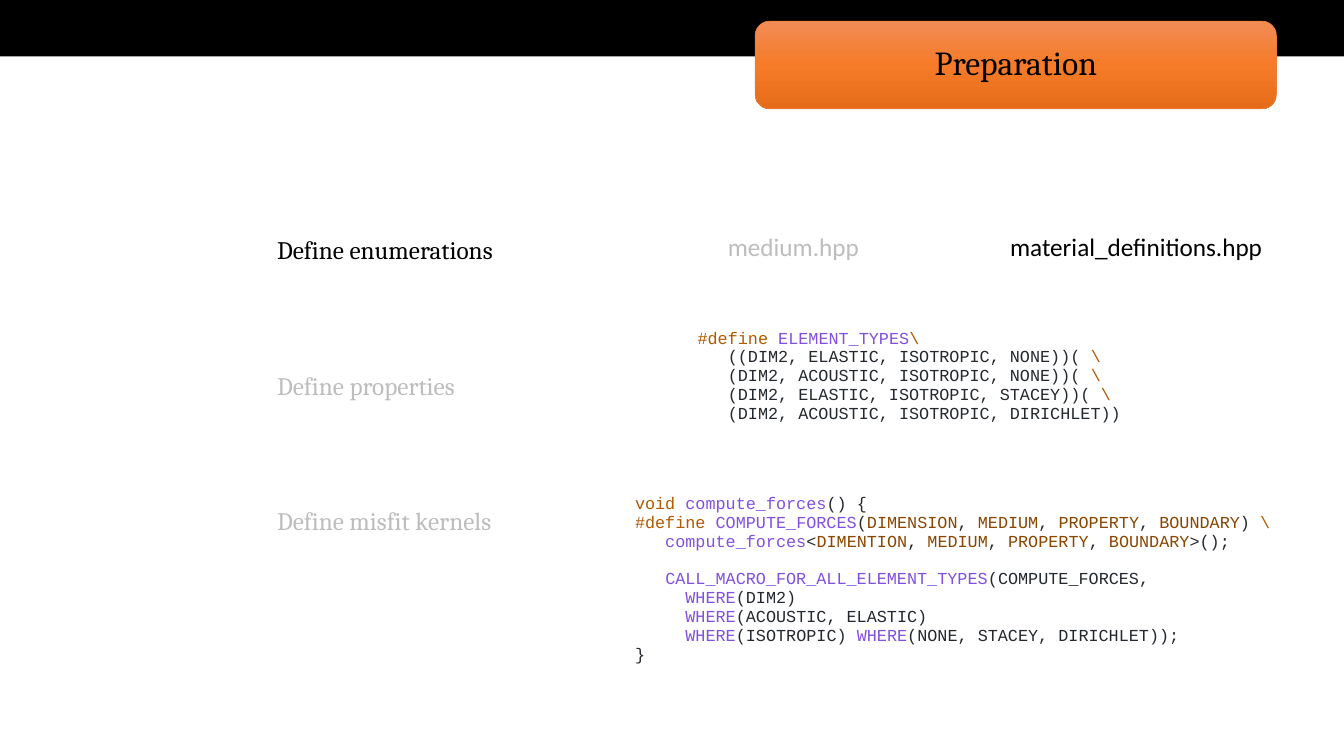
from copy import deepcopy
from dataclasses import dataclass
from typing import NamedTuple

from lxml import etree
from pptx import Presentation
from pptx import util as u
from pptx.dml.color import RGBColor
from pptx.enum import shapes, text
from pptx.oxml.ns import qn


@dataclass(frozen=True)
class Theme:
    black: str = "000000"
    white: str = "FFFFFF"
    keyword: str = "B35900"
    name: str = "8250DF"
    parameter: str = "8A4600"
    plain: str = "24292F"
    button_line: str = "ED7D31"
    button_fill: tuple[str, ...] = ("F18C57", "F67B28", "E56C19")
    serif: str = "Cambria"
    sans: str = "Calibri"
    mono: str = "Courier New"
    title_size: int = 24
    label_size: int = 18
    code_size: int = 12
    code_leading: float = 13.5
    veil_opacity: int = 74


class Box(NamedTuple):
    left: float
    top: float
    width: float
    height: float

    def lengths(self) -> list[u.Length]:
        return [u.Inches(value) for value in self]


class Label(NamedTuple):
    words: str
    box: Box
    font: str


class Token(NamedTuple):
    words: str
    color: str


CodeLine = list[Token]
THEME = Theme()
BUTTON = Box(7.49, 0.21, 5.17, 0.87)
STEPS = [("Define enumerations", 2.55), ("Define properties", 2.15), ("Define misfit kernels", 2.53)]
LABELS = [
    Label(words, Box(2.65, 2.28 + 1.34 * row, width, 0.4), THEME.serif)
    for row, (words, width) in enumerate(STEPS)
] + [
    Label("medium.hpp", Box(7.12, 2.25, 1.52, 0.4), THEME.sans),
    Label("material_definitions.hpp", Box(9.92, 2.25, 2.73, 0.4), THEME.sans),
]
VEILS = [Box(1.34, 3.22, 4.86, 2.55), Box(6.15, 2.06, 2.65, 0.87)]


def keyword(words: str) -> Token:
    return Token(words, THEME.keyword)


def name(words: str) -> Token:
    return Token(words, THEME.name)


def plain(words: str) -> Token:
    return Token(words, THEME.plain)


def parameters(first: str) -> CodeLine:
    tokens = [Token(first, THEME.parameter)]
    for words in ("MEDIUM", "PROPERTY", "BOUNDARY"):
        tokens += [plain(", "), Token(words, THEME.parameter)]
    return tokens


def where(arguments: str, lead: str = "\t") -> CodeLine:
    return [plain(lead), name("WHERE"), plain(arguments)]


CONTINUE = keyword("\\")
ELEMENT_TYPES: list[CodeLine] = [
    [keyword("#define "), name("ELEMENT_TYPES"), CONTINUE],
    [plain("   ((DIM2, ELASTIC, ISOTROPIC, NONE))( "), CONTINUE],
    [plain("   (DIM2, ACOUSTIC, ISOTROPIC, NONE))( "), CONTINUE],
    [plain("   (DIM2, ELASTIC, ISOTROPIC, STACEY))( "), CONTINUE],
    [plain("   (DIM2, ACOUSTIC, ISOTROPIC, DIRICHLET))")],
]
COMPUTE_FORCES: list[CodeLine] = [
    [keyword("void "), name("compute_forces"), plain("() {")],
    [keyword("#define "), name("COMPUTE_FORCES"), plain("("),
     *parameters("DIMENSION"), plain(") "), CONTINUE],
    [name("   compute_forces"), plain("<"), *parameters("DIMENTION"), plain(">();")],
    [plain("\n"), plain("   "), name("CALL_MACRO_FOR_ALL_ELEMENT_TYPES"),
     plain("(COMPUTE_FORCES,")],
    where("(DIM2)"),
    where("(ACOUSTIC, ELASTIC)"),
    where("(ISOTROPIC) ") + where("(NONE, STACEY, DIRICHLET));", lead="")[1:],
    [plain("}")],
]


def write(frame, lines: list[CodeLine], *, font: str, size: float,
          align=text.PP_ALIGN.LEFT, spacing: float | u.Length | None = None) -> None:
    for index, line in enumerate(lines):
        paragraph = frame.paragraphs[0] if index == 0 else frame.add_paragraph()
        paragraph.alignment = align
        paragraph.line_spacing = spacing
        paragraph.font.name = font
        paragraph.font.size = u.Pt(size)
        for token in line:
            if token.words == "\n":
                paragraph.add_line_break()
                continue
            run = paragraph.add_run()
            run.text = token.words
            run.font.name = font
            run.font.size = u.Pt(size)
            run.font.color.rgb = RGBColor.from_string(token.color)


def add_text_box(slide, box: Box, wrap: bool):
    frame = slide.shapes.add_textbox(*box.lengths()).text_frame
    frame.word_wrap = wrap
    frame.auto_size = text.MSO_AUTO_SIZE.SHAPE_TO_FIT_TEXT
    return frame


def add_label(slide, label: Label) -> None:
    write(add_text_box(slide, label.box, False), [[Token(label.words, THEME.black)]],
          font=label.font, size=THEME.label_size)


def add_code(slide, box: Box, lines: list[CodeLine]) -> None:
    write(add_text_box(slide, box, True), lines, font=THEME.mono,
          size=THEME.code_size, spacing=u.Pt(THEME.code_leading))


def add_panel(slide, box: Box, color: str, kind=shapes.MSO_SHAPE.RECTANGLE, opacity: int = 100):
    panel = slide.shapes.add_shape(kind, *box.lengths())
    panel.shadow.inherit = False
    panel.line.fill.background()
    panel.fill.solid()
    panel.fill.fore_color.rgb = RGBColor.from_string(color)
    if opacity < 100:
        fill_color = panel.element.spPr.find(qn("a:solidFill")).find(qn("a:srgbClr"))
        etree.SubElement(fill_color, qn("a:alpha")).set("val", str(opacity * 1000))
    return panel


def add_button(slide) -> None:
    button = add_panel(slide, BUTTON, THEME.white, shapes.MSO_SHAPE.ROUNDED_RECTANGLE)
    button.line.color.rgb = RGBColor.from_string(THEME.button_line)
    button.line.width = u.Pt(0.5)
    button.fill.gradient()
    button.fill.gradient_angle = 270
    stops = button.element.spPr.find(qn("a:gradFill")).find(qn("a:gsLst"))
    stops.insert(1, deepcopy(stops[0]))
    for index, (stop, color) in enumerate(zip(button.fill.gradient_stops, THEME.button_fill)):
        stop.position = index / 2
        stop.color.rgb = RGBColor.from_string(color)


def place_title(slide, words: str) -> None:
    title = slide.shapes.title
    title.left, title.top, title.width, title.height = BUTTON.lengths()
    title.element.getparent().append(title.element)
    title.text_frame.vertical_anchor = text.MSO_ANCHOR.MIDDLE
    write(title.text_frame, [[Token(words, THEME.black)]], font=THEME.serif,
          size=THEME.title_size, align=text.PP_ALIGN.CENTER, spacing=0.9)


def main() -> None:
    presentation = Presentation()
    presentation.slide_width = u.Inches(13.33)
    presentation.slide_height = u.Inches(7.5)
    slide = presentation.slides.add_slide(presentation.slide_layouts[5])
    add_panel(slide, Box(0, 0, 13.33, 0.56), THEME.black)
    add_button(slide)
    place_title(slide, "Preparation")
    for label in LABELS:
        add_label(slide, label)
    for veil in VEILS:
        add_panel(slide, veil, THEME.white, opacity=THEME.veil_opacity)
    add_code(slide, Box(6.82, 3.21, 4.72, 1.08), ELEMENT_TYPES)
    add_code(slide, Box(6.2, 4.85, 6.67, 1.87), COMPUTE_FORCES)
    presentation.save("out.pptx")


if __name__ == "__main__":
    main()
